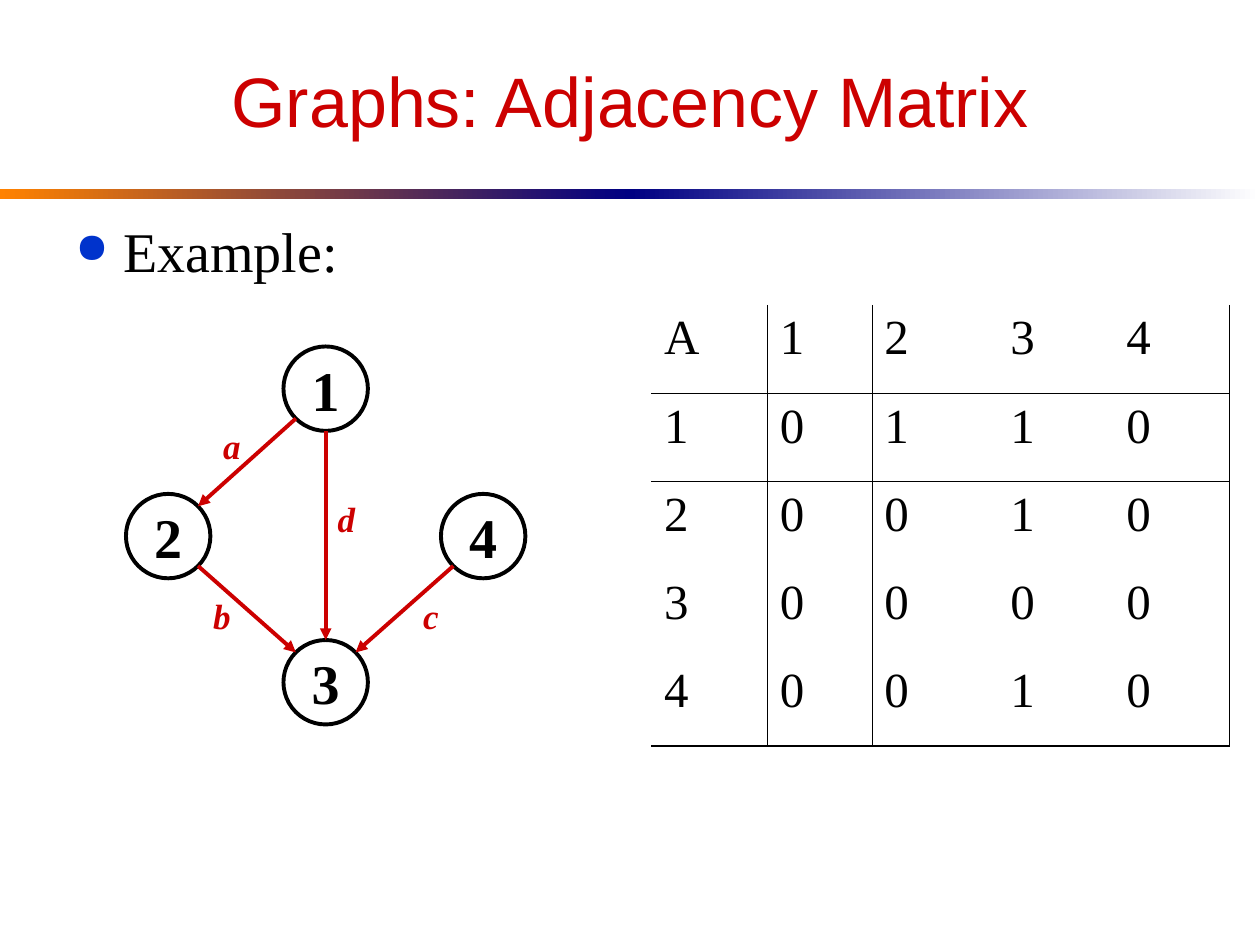
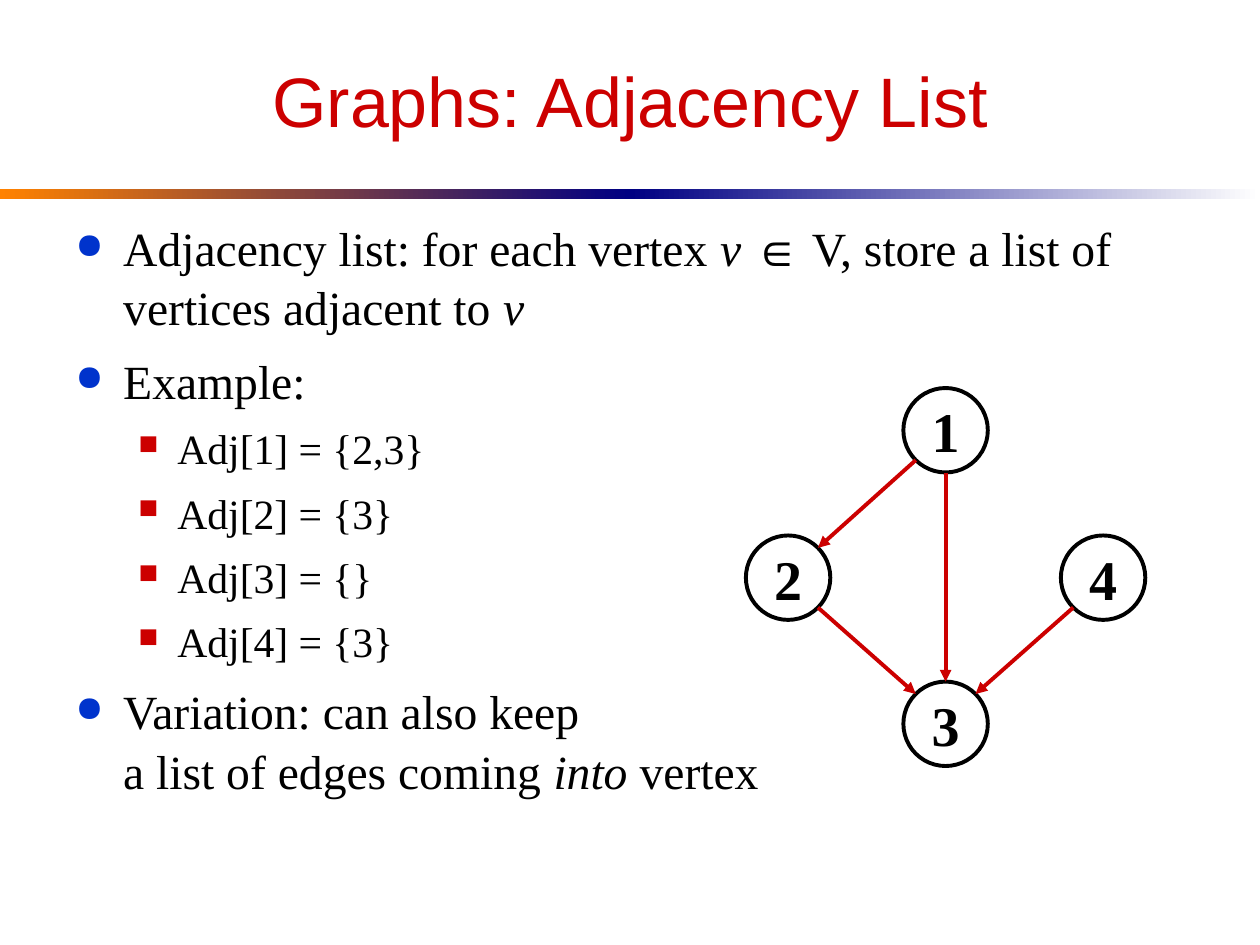
from math import hypot

from lxml.etree import SubElement
from pptx import Presentation
from pptx.dml.color import RGBColor
from pptx.enum.shapes import MSO_CONNECTOR as Connector, MSO_SHAPE as Shape
from pptx.enum.text import MSO_ANCHOR as Anchor, PP_ALIGN as Align
from pptx.oxml import parse_xml
from pptx.oxml.ns import nsdecls, qn
from pptx.util import Inches, Pt

RED, BLUE, BLACK = "CC0000", "0033CC", "000000"
ORANGE, NAVY, WHITE = "FF8200", "000082", "FFFFFF"
SANS, SERIF = "Arial", "Times New Roman"
NO_GRID_STYLE = "{2D5ABB26-0587-4C30-8999-92F81FD0307C}"

# Bullet levels: left margin, hanging indent, space before, sign, colour, size %
LEVELS = [(0.38, 0.38, 8, "●", BLUE, 75), (0.81, 0.31, 7, "■", RED, 65)]

# Graph: node places inside the diagram, and directed edges
NODE = 0.67
NODES = {"1": (1.25, 0), "2": (0, 1.17), "4": (2.5, 1.17), "3": (1.25, 2.33)}
EDGES = ["12", "23", "43", "13"]


def color(code):
    return RGBColor.from_string(code)


def sign(number):
    return (number > 0) - (number < 0)


class Deck:
    def __init__(self):
        self.deck = Presentation()
        self.deck.slide_width, self.deck.slide_height = Inches(10), Inches(7.5)
        self.page = None

    def format(self, span, size, font=SERIF, ink=BLACK, bold=False, italic=False):
        span.font.name, span.font.size = font, Pt(size)
        span.font.bold, span.font.italic = bold, italic
        span.font.color.rgb = color(ink)

    def new_page(self, title):
        self.page = self.deck.slides.add_slide(self.deck.slide_layouts[5])
        box = self.page.shapes.title
        box.left, box.top = Inches(0.5), Inches(0.25)
        box.width, box.height = Inches(9), Inches(1.08)
        box.text_frame.text = title
        box.text_frame.vertical_anchor = Anchor.MIDDLE
        para = box.text_frame.paragraphs[0]
        para.alignment = Align.CENTER
        self.format(para.runs[0], 40, SANS, RED)
        self.band(0, ORANGE, NAVY)
        self.band(5, NAVY, WHITE)

    def band(self, left, start, end):
        box = self.page.shapes.add_shape(
            Shape.RECTANGLE, Inches(left), Inches(1.5), Inches(5), Inches(0.08))
        box.shadow.inherit = False
        box.line.fill.background()
        box.fill.gradient()
        box.fill.gradient_angle = 0
        for stop, code, place in zip(box.fill.gradient_stops, (start, end), (0, 1)):
            stop.color.rgb, stop.position = color(code), place

    def bullets(self, items, sizes, spacing=1.0):
        """Each item is a level and its spans, written as (text, extra format)."""
        box = self.page.shapes.add_textbox(
            Inches(0.5), Inches(1.67), Inches(9), Inches(4.75))
        frame = box.text_frame
        frame.word_wrap = True
        for index, (level, spans) in enumerate(items):
            para = frame.add_paragraph() if index else frame.paragraphs[0]
            self.bullet(para, level, spacing)
            for text, extra in spans:
                if text == "\n":
                    para.add_line_break()
                    continue
                span = para.add_run()
                span.text = text
                self.format(span, sizes[level], **extra)

    def bullet(self, para, level, spacing):
        margin, hang, before, mark, ink, percent = LEVELS[level]
        para.level = level
        para.line_spacing, para.space_before = spacing, Pt(before)
        props = para._p.get_or_add_pPr()
        props.set("marL", str(Inches(margin)))
        props.set("indent", str(-Inches(hang)))
        SubElement(SubElement(props, qn("a:buClr")), qn("a:srgbClr"), val=ink)
        SubElement(props, qn("a:buSzPct"), val=str(percent * 1000))
        SubElement(props, qn("a:buChar"), char=mark)

    def node(self, text, left, top):
        box = self.page.shapes.add_shape(
            Shape.OVAL, Inches(left), Inches(top), Inches(NODE), Inches(NODE))
        box.shadow.inherit = False
        box.fill.background()
        box.line.color.rgb, box.line.width = color(BLACK), Pt(2.25)
        frame = box.text_frame
        frame.text = text
        frame.word_wrap, frame.vertical_anchor = False, Anchor.MIDDLE
        frame.paragraphs[0].alignment = Align.CENTER
        self.format(frame.paragraphs[0].runs[0], 32, bold=True)

    def arrow(self, *ends):
        line = self.page.shapes.add_connector(Connector.STRAIGHT, *map(Inches, ends))
        line.line.color.rgb, line.line.width = color(RED), Pt(2.25)
        SubElement(line.line._get_or_add_ln(), qn("a:tailEnd"), type="triangle")
        SubElement(line._element.spPr, qn("a:effectLst"))

    def label(self, text, left, top):
        box = self.page.shapes.add_textbox(
            Inches(left), Inches(top), Inches(0.34), Inches(0.44))
        box.text_frame.text = text
        box.text_frame.word_wrap = False
        para = box.text_frame.paragraphs[0]
        para.alignment = Align.CENTER
        self.format(para.runs[0], 20, ink=RED, bold=True, italic=True)

    def graph(self, left, top):
        for name, (x, y) in NODES.items():
            self.node(name, left + x, top + y)
        # Each edge joins the facing points of the two circles
        radius = NODE / 2
        for start, end in EDGES:
            (x1, y1), (x2, y2) = NODES[start], NODES[end]
            across, down = sign(x2 - x1), sign(y2 - y1)
            step = radius / hypot(across, down)
            x0, y0 = left + radius, top + radius
            self.arrow(x0 + x1 + across * step, y0 + y1 + down * step,
                       x0 + x2 - across * step, y0 + y2 - down * step)

    def matrix(self, rows, left, top, widths, height):
        frame = self.page.shapes.add_table(
            len(rows), len(widths), Inches(left), Inches(top),
            Inches(sum(widths)), Inches(height * len(rows)))
        table = frame.table
        table.first_row = table.horz_banding = False
        table._tbl.tblPr.find(qn("a:tableStyleId")).text = NO_GRID_STYLE
        for column, width in zip(table.columns, widths):
            column.width = Inches(width)
        last_row, last_column = len(rows) - 1, len(widths) - 1
        for r, row in enumerate(rows):
            table.rows[r].height = Inches(height)
            for c, text in enumerate(row):
                cell = table.cell(r, c)
                cell.text = text
                cell.fill.background()
                para = cell.text_frame.paragraphs[0]
                para.space_before = Pt(7)
                self.format(para.runs[0], 28)
                # Rules beside the headings and along the outer right and bottom
                self.borders(cell, {
                    "L": 0.45 if c == 1 else 0,
                    "R": {0: 0.45, last_column: 1.08}.get(c, 0),
                    "T": 0.45 if r == 1 else 0,
                    "B": {0: 0.45, last_row: 1.08}.get(r, 0)})

    def borders(self, cell, widths):
        props = cell._tc.get_or_add_tcPr()
        drawn = [(side, width) for side, width in widths.items() if width]
        for index, (side, width) in enumerate(drawn):
            props.insert(index, parse_xml(
                f'<a:ln{side} {nsdecls("a")} w="{Pt(width)}"><a:solidFill>'
                f'<a:srgbClr val="{BLACK}"/></a:solidFill></a:ln{side}>'))


def main():
    show = Deck()
    plain, italic = {}, {"italic": True}

    # Adjacency matrix
    show.new_page("Graphs: Adjacency Matrix")
    show.bullets([(0, [("Example:", plain)])], sizes=[32])
    show.graph(1, 2.75)
    for text, left, top in [("a", 1.67, 3.32), ("d", 2.58, 3.9),
                            ("b", 1.59, 4.67), ("c", 3.25, 4.67)]:
        show.label(text, left, top)
    show.matrix(["A1234", "10110", "20010", "30000", "40010"],
                5.17, 2.42, [0.92, 0.83, 1, 0.92, 0.92], 0.7)

    # Adjacency list
    show.new_page("Graphs: Adjacency List")
    neighbours = {1: "2,3", 2: "3", 3: "", 4: "3"}
    show.bullets([
        (0, [("Adjacency list: for each vertex ", plain), ("v ", italic),
             ("∈", {"font": SANS}),
             (" V, store a list of vertices adjacent to ", plain), ("v", italic)]),
        (0, [("Example:", plain)]),
        *[(1, [(f"Adj[{vertex}] = {{{ends}}}", plain)])
          for vertex, ends in neighbours.items()],
        (0, [("Variation: can also keep ", plain), ("\n", plain),
             ("a list of edges coming ", plain), ("into ", italic),
             ("vertex", plain)]),
    ], sizes=[27.2, 23.8], spacing=1.04)
    show.graph(5.92, 3.08)

    show.deck.save("out.pptx")


if __name__ == "__main__":
    main()
